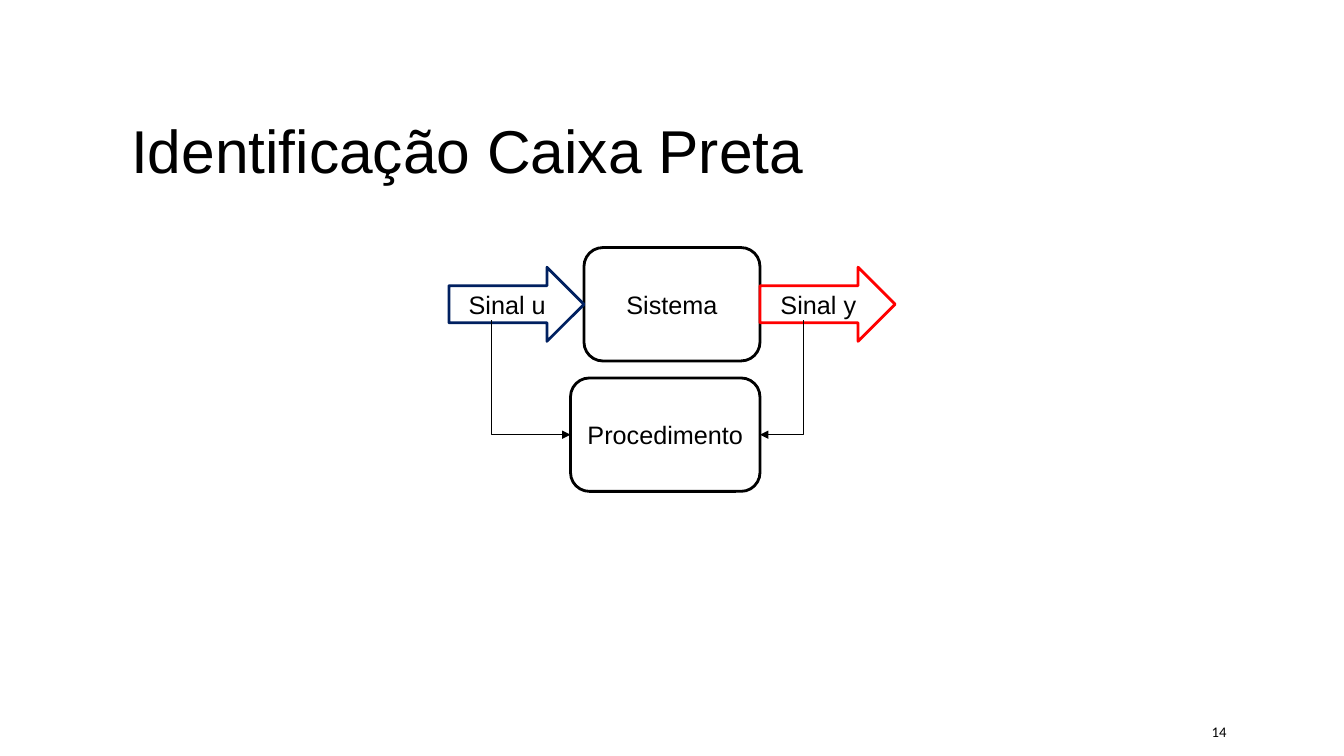
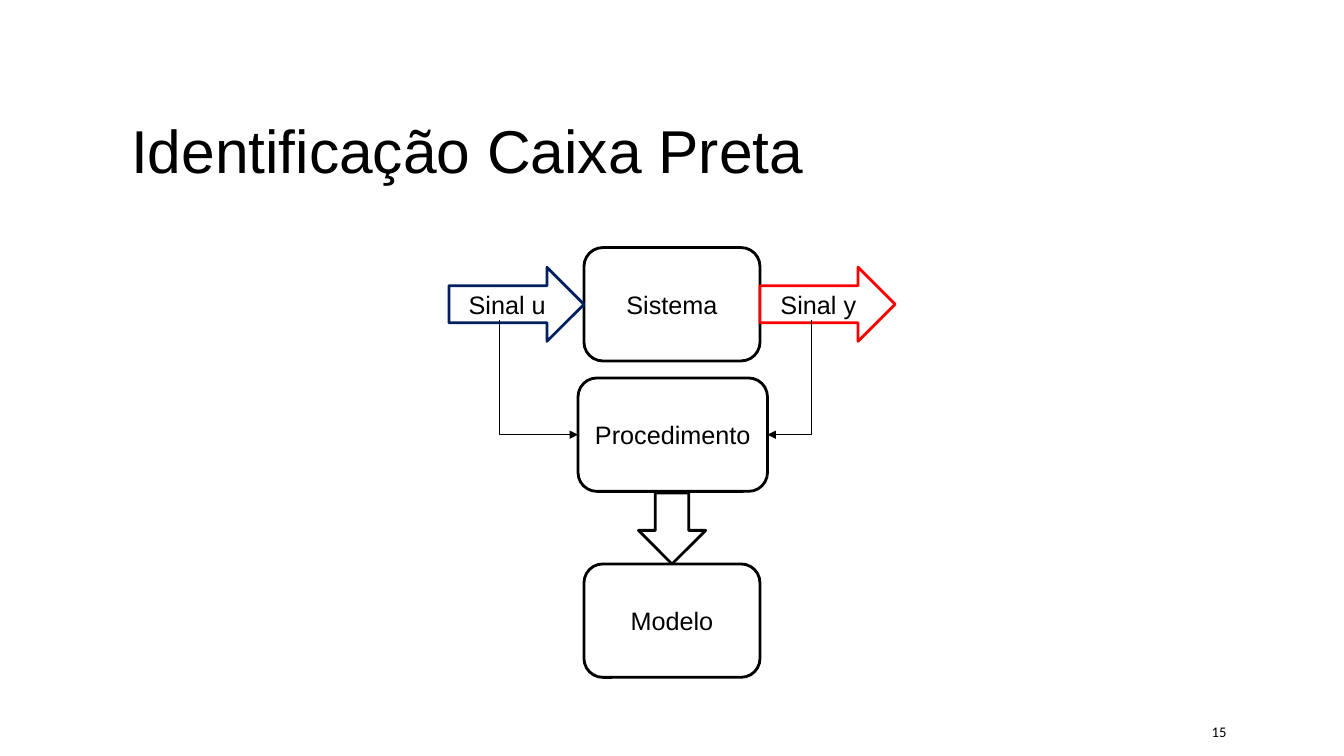
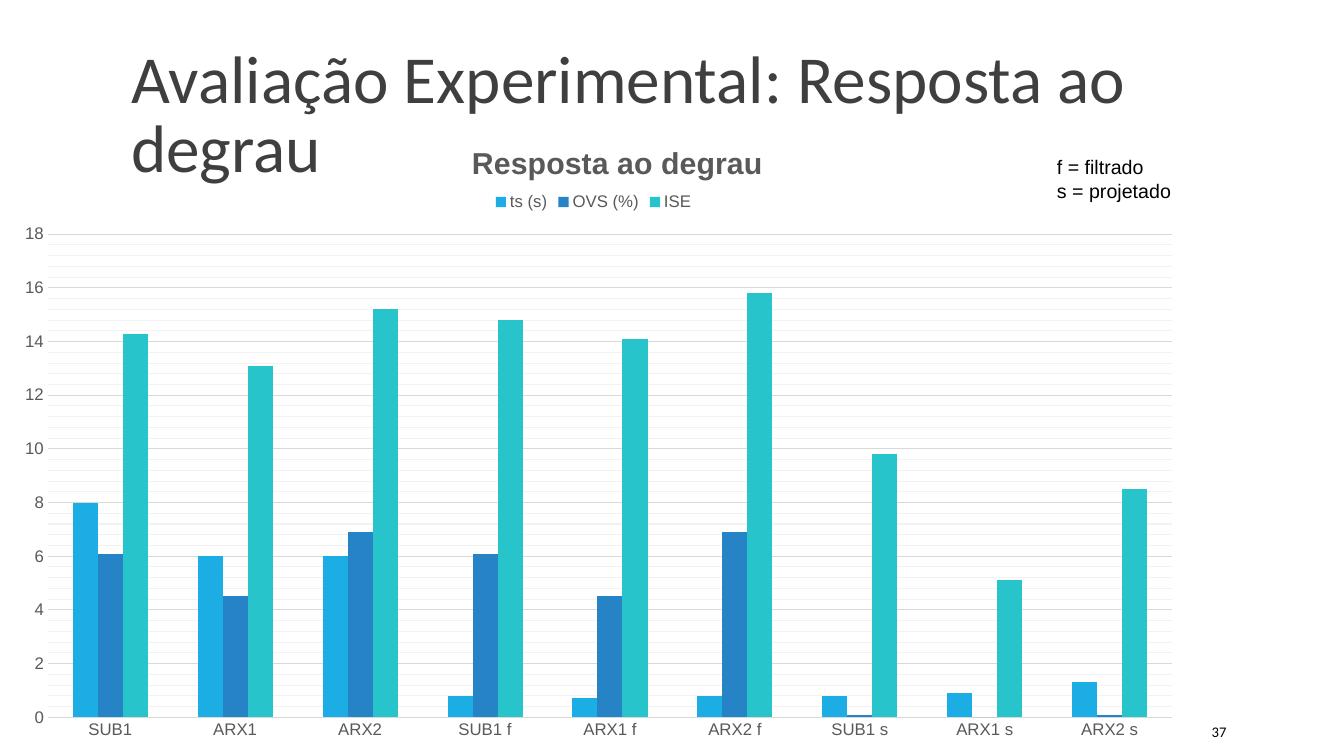
from lxml import etree
from pptx import Presentation
from pptx import util as u
from pptx.chart.data import CategoryChartData
from pptx.dml.color import RGBColor
from pptx.enum import chart as charts, shapes, text
from pptx.oxml import ns

BLACK, WHITE, NAVY, RED = "000000", "FFFFFF", "002060", "FF0000"
DARK_GREY, MID_GREY, LIGHT_GREY, PALE_GREY = "3F3F3F", "595959", "D9D9D9", "F2F2F2"

deck = Presentation()
deck.slide_width, deck.slide_height = u.Inches(13.33), u.Inches(7.5)
# The grid has 100 columns and 100 rows
COL, ROW = deck.slide_width / 100, deck.slide_height / 100


def color(hex_string):
    return RGBColor.from_string(hex_string)


def write(frame, words, size=18, font="Arial", ink=BLACK, align=None,
          anchor=text.MSO_ANCHOR.MIDDLE, spacing=None):
    frame.text = words
    frame.word_wrap = True
    frame.auto_size = text.MSO_AUTO_SIZE.NONE
    frame.vertical_anchor = anchor
    for line in frame.paragraphs:
        line.alignment = align
        line.line_spacing = spacing
        line.font.size, line.font.name = u.Pt(size), font
        line.font.color.rgb = color(ink)


# Shared title position
layout = deck.slide_layouts[5]
heading_area = layout.placeholders[0]
heading_area.left, heading_area.top = int(9 * COL), int(4.1 * ROW)
heading_area.width, heading_area.height = int(82.5 * COL), int(21.2 * ROW)

# Titles and slide numbers
black_box = dict(size=43.2)
headings = [
    ("Identificação Caixa Preta", "14", black_box),
    ("Identificação Caixa Preta", "15", black_box),
    ("Avaliação Experimental: Resposta ao degrau", "37",
     dict(size=48, font="Calibri", ink=DARK_GREY)),
]
slides = []
for heading, number, look in headings:
    slide = deck.slides.add_slide(layout)
    write(slide.shapes.title.text_frame, heading, align=text.PP_ALIGN.LEFT,
          anchor=text.MSO_ANCHOR.BOTTOM, spacing=0.85, **look)
    page = slide.shapes.add_textbox(
        int(81.25 * COL), int(94.1 * ROW), int(10.75 * COL), int(5.3 * ROW))
    write(page.text_frame, number, size=10.5, font="Calibri", align=text.PP_ALIGN.RIGHT)
    slides.append(slide)

# Block diagrams: parts given by centre column, top row, columns wide, rows high
BOX = shapes.MSO_SHAPE.ROUNDED_RECTANGLE
RIGHT, DOWN = shapes.MSO_SHAPE.RIGHT_ARROW, shapes.MSO_SHAPE.DOWN_ARROW
system_wide, box_high, signal_wide, signal_high = 13.1, 15, 10.05, 9.8
procedure_wide, procedure_top = 14.1, 50
system_top = 32.75
signal_top = system_top + (box_high - signal_high) / 2
signal_shift = (system_wide + signal_wide) / 2
model_parts = [
    (DOWN, "", 50, 65.2, 5, 9.4, BLACK),
    (BOX, "Modelo", 50, 74.6, system_wide, box_high, BLACK),
]
for slide, procedure_centre, extra_parts in [
        (slides[0], 49.5, []), (slides[1], 50.06, model_parts)]:
    parts = [
        (BOX, "Sistema", 50, system_top, system_wide, box_high, BLACK),
        (RIGHT, "Sinal u", 50 - signal_shift, signal_top, signal_wide, signal_high, NAVY),
        (RIGHT, "Sinal y", 50 + signal_shift, signal_top, signal_wide, signal_high, RED),
        (BOX, "Procedimento", procedure_centre, procedure_top, procedure_wide,
         box_high, BLACK),
    ]
    for kind, label, centre, top, wide, high, outline in parts + extra_parts:
        part = slide.shapes.add_shape(
            kind, int((centre - wide / 2) * COL), int(top * ROW),
            int(wide * COL), int(high * ROW))
        part.shadow.inherit = False
        part.fill.solid()
        part.fill.fore_color.rgb = color(WHITE)
        part.line.color.rgb = color(outline)
        part.line.width = u.Pt(2)
        if label:
            write(part.text_frame, label, align=text.PP_ALIGN.CENTER)

    # Measured signals enter the procedure from both sides
    for side, reach in [(-1, 5.85), (1, 3.25)]:
        edge = procedure_centre + side * procedure_wide / 2
        tap = slide.shapes.add_connector(
            shapes.MSO_CONNECTOR.ELBOW,
            int(edge * COL), int((procedure_top + box_high / 2) * ROW),
            int((edge + side * reach) * COL), int(42.4 * ROW))
        tap.line.color.rgb = color(BLACK)
        tap.line.width = u.Pt(0.75)
        stroke = tap.line._get_or_add_ln()
        etree.SubElement(stroke, ns.qn("a:headEnd"), type="triangle")
        properties = tap._element.spPr
        properties.find(ns.qn("a:prstGeom")).set("prst", "bentConnector2")
        etree.SubElement(properties, ns.qn("a:effectLst"))

# Step response chart
responses = CategoryChartData()
responses.categories = [
    name + suffix for suffix in ("", " f", " s") for name in ("SUB1", "ARX1", "ARX2")]
measures = [
    ("ts (s)", "1CADE4", [8, 6, 6, 0.8, 0.7, 0.8, 0.8, 0.9, 1.3]),
    ("OVS (%)", "2683C6", [6.1, 4.5, 6.9, 6.1, 4.5, 6.9, 0.1, 0, 0.1]),
    ("ISE", "28C4CC", [14.3, 13.1, 15.2, 14.8, 14.1, 15.8, 9.8, 5.1, 8.5]),
]
for measure, _, values in measures:
    responses.add_series(measure, values)
chart = slides[2].shapes.add_chart(
    charts.XL_CHART_TYPE.COLUMN_CLUSTERED, 0, int(14.8 * ROW),
    int(89 * COL), int(85.2 * ROW), responses).chart
chart.font.size, chart.font.name = u.Pt(12), "Arial"
chart.font.color.rgb = color(MID_GREY)
chart.has_title = True
write(chart.chart_title.text_frame, "Resposta ao degrau", size=21.6, ink=MID_GREY)
chart.has_legend = True
chart.legend.position = charts.XL_LEGEND_POSITION.TOP
chart.legend.include_in_layout = False

# Bars
bars = chart.plots[0]
bars.gap_width, bars.overlap, bars.vary_by_categories = 199, 0, False
for series, (_, tint, _) in zip(bars.series, measures):
    series.format.fill.solid()
    series.format.fill.fore_color.rgb = color(tint)

# Axes and gridlines
names, scale = chart.category_axis, chart.value_axis
for axis in (names, scale):
    axis.major_tick_mark = axis.minor_tick_mark = charts.XL_TICK_MARK.NONE
scale.minimum_scale, scale.maximum_scale = 0, 18
scale.major_unit, scale.minor_unit = 2, 0.4
scale.has_major_gridlines = scale.has_minor_gridlines = True
scale.format.line.fill.background()
scale.tick_labels.number_format = "General"
scale.tick_labels.number_format_is_linked = False
for rule in (names.format.line, scale.major_gridlines.format.line):
    rule.color.rgb = color(LIGHT_GREY)
    rule.width = u.Pt(0.75)
fine_grid = chart._chartSpace.find(".//" + ns.qn("c:minorGridlines"))
fine_line = etree.SubElement(
    etree.SubElement(fine_grid, ns.qn("c:spPr")), ns.qn("a:ln"), w=str(u.Pt(0.75)))
fine_fill = etree.SubElement(fine_line, ns.qn("a:solidFill"))
etree.SubElement(fine_fill, ns.qn("a:srgbClr"), val=PALE_GREY)

# Places inside the chart, as shares of its size
for tag, index, place in [
        ("c:plotArea", 0, dict(x=0.04, y=0.19, w=0.94, h=0.75)),
        ("c:title", 1, dict(x=0.39, y=0.04)),
        ("c:legend", 1, dict(x=0.41, y=0.12))]:
    area = chart._chartSpace.find(".//" + ns.qn(tag))
    for old in area.findall(ns.qn("c:layout")):
        area.remove(old)
    arrangement = etree.Element(ns.qn("c:layout"))
    area.insert(index, arrangement)
    manual = etree.SubElement(arrangement, ns.qn("c:manualLayout"))
    if "w" in place:
        etree.SubElement(manual, ns.qn("c:layoutTarget"), val="inner")
    for axis in "xy":
        etree.SubElement(manual, ns.qn(f"c:{axis}Mode"), val="edge")
    for key, share in place.items():
        etree.SubElement(manual, ns.qn(f"c:{key}"), val=str(share))

# Key to the suffixes
suffixes = slides[2].shapes.add_textbox(
    int(77.9 * COL), int(19.9 * ROW), int(22.1 * COL), int(7.6 * ROW))
write(suffixes.text_frame, "f = filtrado\ns = projetado", size=14,
      anchor=text.MSO_ANCHOR.TOP)

deck.save("out.pptx")
